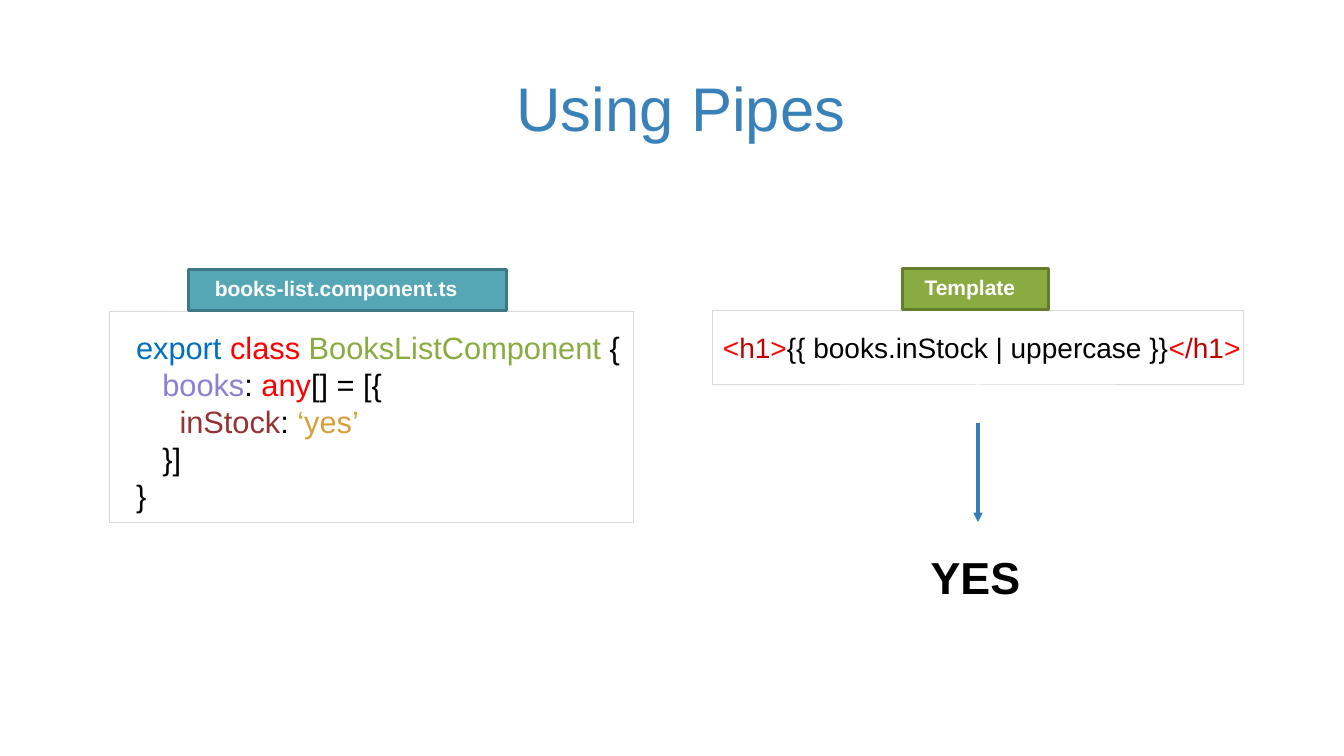
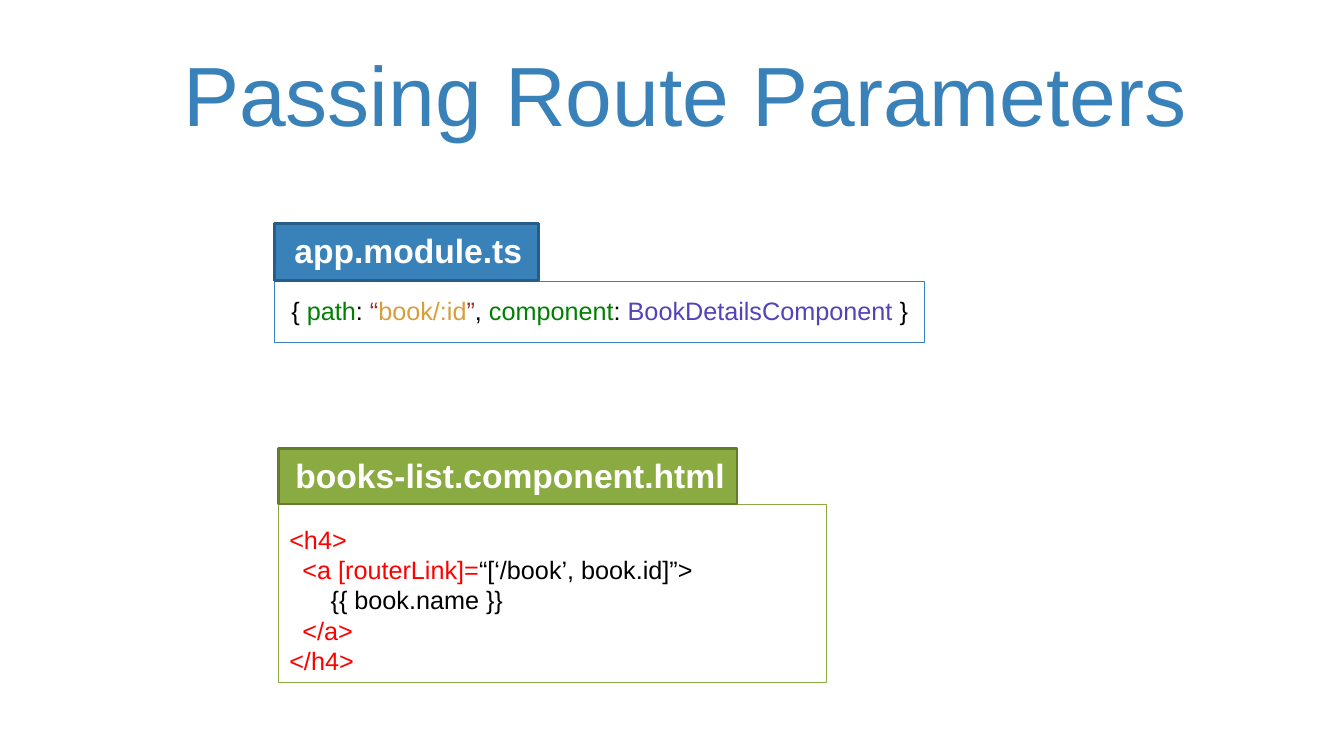
from lxml import etree
from pptx import Presentation
from pptx.dml.color import RGBColor
from pptx.enum.shapes import MSO_CONNECTOR, MSO_SHAPE
from pptx.enum.text import MSO_ANCHOR, MSO_AUTO_SIZE, PP_ALIGN
from pptx.oxml.ns import qn
from pptx.util import Inches, Pt

RECTANGLE = MSO_SHAPE.RECTANGLE
STRAIGHT = MSO_CONNECTOR.STRAIGHT
TOP, MIDDLE = MSO_ANCHOR.TOP, MSO_ANCHOR.MIDDLE
LEFT, CENTER = PP_ALIGN.LEFT, PP_ALIGN.CENTER
NO_AUTOFIT = MSO_AUTO_SIZE.NONE

FONT = "Arial"
TITLE_ONLY = 5

BLACK = RGBColor(0x00, 0x00, 0x00)
WHITE = RGBColor(0xFF, 0xFF, 0xFF)
BLUE = RGBColor(0x39, 0x81, 0xB9)
DARK_BLUE = RGBColor(0x28, 0x5D, 0x87)
ARROW_BLUE = RGBColor(0x35, 0x7D, 0xB8)
KEYWORD_BLUE = RGBColor(0x00, 0x6F, 0xC0)
TEAL = RGBColor(0x56, 0xA7, 0xB5)
DARK_TEAL = RGBColor(0x3D, 0x79, 0x84)
GREEN = RGBColor(0x8A, 0xAB, 0x42)
DARK_GREEN = RGBColor(0x64, 0x7C, 0x2D)
KEY_GREEN = RGBColor(0x00, 0x80, 0x00)
RED = RGBColor(0xFF, 0x00, 0x00)
TAG_RED = RGBColor(0xC0, 0x00, 0x00)
MAROON = RGBColor(0x95, 0x33, 0x34)
OCHRE = RGBColor(0xD7, 0x9F, 0x39)
LILAC = RGBColor(0x8A, 0x81, 0xD2)
VIOLET = RGBColor(0x52, 0x43, 0xBA)
GREY = RGBColor(0xD9, 0xD9, 0xD9)


def write_text(shape, lines, size, bold=False, align=LEFT, anchor=MIDDLE,
               top_inset=0, bottom_inset=0, wrap=True):
    frame = shape.text_frame
    frame.auto_size = NO_AUTOFIT
    frame.word_wrap = wrap
    frame.vertical_anchor = anchor
    frame.margin_left = frame.margin_right = 0
    frame.margin_top = Inches(top_inset)
    frame.margin_bottom = Inches(bottom_inset)
    for number, (indent, runs) in enumerate(lines):
        paragraph = frame.add_paragraph() if number else frame.paragraphs[0]
        paragraph.alignment = align
        paragraph.space_before = paragraph.space_after = Pt(0)
        paragraph.line_spacing = 1.0
        properties = paragraph._p.get_or_add_pPr()
        properties.set("marL", str(Inches(indent)))
        properties.set("indent", "0")
        for text, color in runs:
            run = paragraph.add_run()
            run.text = text
            run.font.name = FONT
            run.font.size = Pt(size)
            run.font.bold = bold
            run.font.color.rgb = color


def add_title_slide(presentation, title, box, size):
    slide = presentation.slides.add_slide(presentation.slide_layouts[TITLE_ONLY])
    placeholder = slide.shapes.title
    left, top, width, height = map(Inches, box)
    placeholder.left, placeholder.top = left, top
    placeholder.width, placeholder.height = width, height
    write_text(placeholder, [(0, [(title, BLUE)])], size, align=CENTER, wrap=False)
    return slide


def add_rectangle(slide, box, line_color, line_width, fill=None):
    shape = slide.shapes.add_shape(RECTANGLE, *map(Inches, box))
    shape.shadow.inherit = False
    if fill is None:
        shape.fill.background()
    else:
        shape.fill.solid()
        shape.fill.fore_color.rgb = fill
    shape.line.color.rgb = line_color
    shape.line.width = Pt(line_width)
    return shape


def add_code_panel(slide, box, code, code_size, border, label, label_size, label_indent,
                   tab_size, tab_fill, tab_border, tab_offset=0, top_inset=0, bottom_inset=0):
    left, top, width, height = box
    tab_width, tab_height = tab_size
    panel = add_rectangle(slide, box, border, 0.72)
    write_text(panel, code, code_size, anchor=TOP if top_inset else MIDDLE,
               top_inset=top_inset, bottom_inset=bottom_inset)
    tab_box = (left + tab_offset, top - tab_height - 0.01, tab_width, tab_height)
    tab = add_rectangle(slide, tab_box, tab_border, 2.04, fill=tab_fill)
    write_text(tab, [(label_indent, [(label, WHITE)])], label_size, bold=True,
               bottom_inset=0.03)


def add_result(slide, box, result, arrow_length):
    left, top, width, height = box
    center = Inches(left + width / 2)
    arrow = slide.shapes.add_connector(
        STRAIGHT, center, Inches(top), center, Inches(top + arrow_length))
    arrow.line.color.rgb = ARROW_BLUE
    arrow.line.width = Pt(2.25)
    etree.SubElement(arrow.line._get_or_add_ln(), qn("a:tailEnd"), type="triangle")
    etree.SubElement(arrow._element.spPr, qn("a:effectLst"))
    text_height = 0.56
    text_box = slide.shapes.add_textbox(
        Inches(left), Inches(top + height - text_height), Inches(width), Inches(text_height))
    write_text(text_box, [(0.01, [(result, BLACK)])], 32, bold=True)


def build_pipes_slide(presentation):
    slide = add_title_slide(presentation, "Using Pipes", (5.11, 0.68, 3.29, 0.76), 44)
    component_code = [
        (0.26, [("export ", KEYWORD_BLUE), ("class ", RED),
                ("BooksListComponent ", GREEN), ("{", BLACK)]),
        (0.52, [("books", LILAC), (": ", BLACK), ("any", RED), ("[] = [{", BLACK)]),
        (0.69, [("inStock", MAROON), (": ", BLACK), ("‘yes’", OCHRE)]),
        (0.52, [("}]", BLACK)]),
        (0.26, [("}", BLACK)]),
    ]
    template_code = [
        (0.1, [("<", RED), ("h1", TAG_RED), (">", RED),
               ("{{ books.inStock | uppercase }}", BLACK),
               ("<", RED), ("/h1", TAG_RED), (">", RED)]),
    ]
    add_code_panel(slide, (1.09, 3.09, 5.19, 2.09), component_code, 22, GREY,
                   "books-list.component.ts", 15, 0.26, (3.15, 0.41), TEAL, DARK_TEAL,
                   tab_offset=0.78, top_inset=0.17)
    add_code_panel(slide, (7.07, 3.08, 5.26, 0.74), template_code, 20, GREY,
                   "Template", 15, 0.22, (1.45, 0.41), GREEN, DARK_GREEN, tab_offset=1.88)
    add_result(slide, (9.22, 4.2, 0.96, 1.8), "YES", 0.98)


def build_route_slide(presentation):
    slide = add_title_slide(
        presentation, "Passing Route Parameters", (1.8, 0.41, 9.99, 1.03), 60)
    route_code = [
        (0.17, [("{ ", BLACK), ("path", KEY_GREEN), (": ", BLACK), ("“", MAROON),
                ("book/:id", OCHRE), ("”", MAROON), (", ", BLACK),
                ("component", KEY_GREEN), (": ", BLACK),
                ("BookDetailsComponent ", VIOLET), ("}", BLACK)]),
    ]
    link_code = [
        (0.11, [("<h4>", RED)]),
        (0.24, [("<a [routerLink]=", RED), ("“[‘/book’, book.id]”>", BLACK)]),
        (0.52, [("{{ book.name }}", BLACK)]),
        (0.24, [("</a>", RED)]),
        (0.11, [("</h4>", RED)]),
    ]
    add_code_panel(slide, (2.72, 2.79, 6.45, 0.61), route_code, 18, BLUE,
                   "app.module.ts", 24, 0.2, (2.62, 0.56), BLUE, DARK_BLUE,
                   bottom_inset=0.04)
    add_code_panel(slide, (2.76, 5.01, 5.44, 1.76), link_code, 18, GREEN,
                   "books-list.component.html", 24, 0.17, (4.55, 0.55), GREEN, DARK_GREEN,
                   top_inset=0.19)


def main():
    presentation = Presentation()
    presentation.slide_width = Inches(13.33)
    presentation.slide_height = Inches(7.5)
    build_pipes_slide(presentation)
    build_route_slide(presentation)
    presentation.save("out.pptx")


if __name__ == "__main__":
    main()
